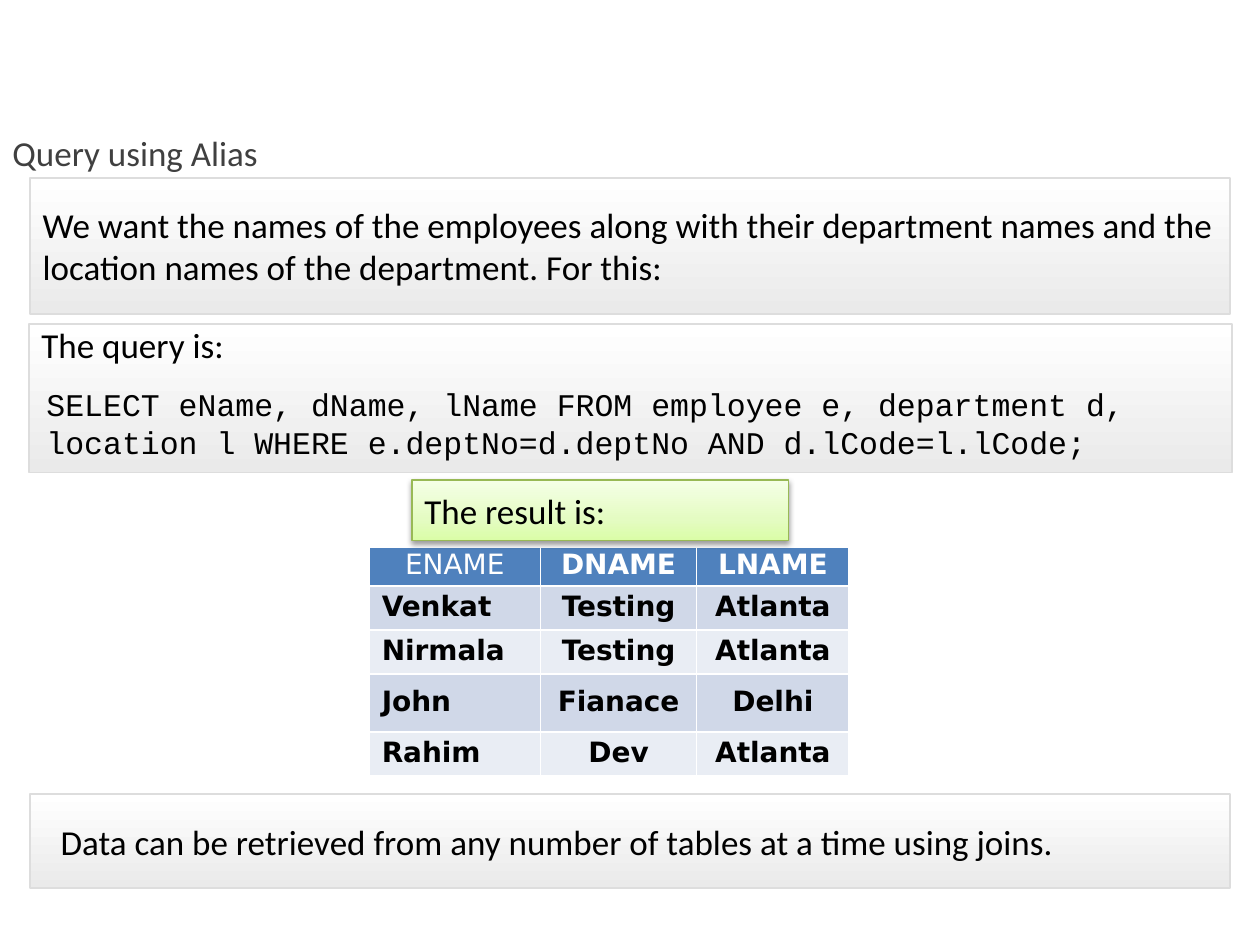
from lxml.etree import SubElement
from pptx import Presentation
from pptx.dml.color import RGBColor
from pptx.enum.shapes import MSO_SHAPE
from pptx.enum.text import MSO_ANCHOR, PP_ALIGN
from pptx.oxml.ns import qn
from pptx.util import Inches, Pt

COLORS = {
    "black": "000000", "white": "FFFFFF", "title": "404040",
    "grey": "EAEAEA", "grey_line": "DDDDDD", "green_line": "98B955",
    "green_dark": "DAFDA7", "green_mid": "E4FCC2", "green_light": "F5FFE7",
    "header": "4F81BD", "band_dark": "D0D8E8", "band_light": "E9EDF4",
}
GREY_STOPS = [(0, "white"), (100, "grey")]
GREEN_STOPS = [(0, "green_dark"), (35, "green_mid"), (100, "green_light")]


def add_text(paragraph, text, size, color="black", font="Calibri", bold=False):
    run = paragraph.add_run()
    run.text = text
    run.font.size = Pt(size)
    run.font.name = font
    run.font.bold = bold
    run.font.color.rgb = RGBColor.from_string(COLORS[color])


def add_panel(box, stops, angle, line_color, line_width, text,
              anchor=MSO_ANCHOR.MIDDLE, left_inset=0.1, spacing=0):
    shape = slide.shapes.add_shape(MSO_SHAPE.RECTANGLE, *map(Inches, box))
    shape.shadow.inherit = False
    shape.fill.gradient()
    shape.fill.gradient_angle = angle
    stop_list = shape._element.spPr.find(".//" + qn("a:gsLst"))
    for stop in list(stop_list):
        stop_list.remove(stop)
    for position, color in stops:
        stop = SubElement(stop_list, qn("a:gs"), pos=str(position * 1000))
        SubElement(stop, qn("a:srgbClr"), val=COLORS[color])
    shape.line.color.rgb = RGBColor.from_string(COLORS[line_color])
    shape.line.width = Pt(line_width)
    frame = shape.text_frame
    frame.word_wrap = True
    frame.vertical_anchor = anchor
    frame.margin_left, frame.margin_right = Inches(left_inset), Inches(0.1)
    frame.margin_top = frame.margin_bottom = 0
    paragraph = frame.paragraphs[0]
    paragraph.alignment = PP_ALIGN.LEFT
    paragraph.space_before = paragraph.space_after = Pt(spacing)
    add_text(paragraph, text, 20)
    return shape


presentation = Presentation()
presentation.slide_width, presentation.slide_height = Inches(10), Inches(7.5)
slide = presentation.slides.add_slide(presentation.slide_layouts[6])

# Question panel
add_panel((0.24, 1.41, 9.52, 1.08), GREY_STOPS, 270, "grey_line", 1,
          "We want the names of the employees along with their department names "
          "and the location names of the department. For this:")

# Title
title = slide.shapes.add_textbox(Inches(0), Inches(0.83), Inches(7.09), Inches(0.61))
title.text_frame.word_wrap = True
title.text_frame.paragraphs[0].line_spacing = 1.5
add_text(title.text_frame.paragraphs[0], "Query using Alias", 20, "title")

# Result table
rows = [
    ("ENAME", "DNAME", "LNAME"),
    ("Venkat", "Testing", "Atlanta"),
    ("Nirmala", "Testing", "Atlanta"),
    ("John", "Fianace", "Delhi"),
    ("Rahim", "Dev", "Atlanta"),
]
table = slide.shapes.add_table(5, 3, Inches(2.93), Inches(4.34),
                               Inches(3.82), Inches(1.82)).table
for column, width in zip(table.columns, (1.36, 1.24, 1.21)):
    column.width = Inches(width)
for row, height in zip(table.rows, (0.31, 0.35, 0.35, 0.46, 0.35)):
    row.height = Inches(height)
for row_index, values in enumerate(rows):
    is_header = row_index == 0
    fill = "header" if is_header else ("band_light", "band_dark")[row_index % 2]
    for column_index, value in enumerate(values):
        cell = table.cell(row_index, column_index)
        cell.vertical_anchor = MSO_ANCHOR.MIDDLE
        cell.margin_left = cell.margin_right = Inches(0 if is_header else 0.1)
        cell.margin_top = cell.margin_bottom = 0
        properties = cell._tc.get_or_add_tcPr()
        for side in ("a:lnL", "a:lnR", "a:lnT", "a:lnB"):
            border = SubElement(properties, qn(side), w=str(Pt(1)))
            border_fill = SubElement(border, qn("a:solidFill"))
            SubElement(border_fill, qn("a:srgbClr"), val=COLORS["white"])
        cell.fill.solid()
        cell.fill.fore_color.rgb = RGBColor.from_string(COLORS[fill])
        paragraph = cell.text_frame.paragraphs[0]
        paragraph.line_spacing = 0.86
        centred = is_header or column_index > 0
        paragraph.alignment = PP_ALIGN.CENTER if centred else PP_ALIGN.LEFT
        add_text(paragraph, value, 16, "white" if is_header else "black",
                 "DejaVu Sans", bold=value != "ENAME")

# Query panel with its statement
add_panel((0.23, 2.57, 9.55, 1.18), GREY_STOPS, 270, "grey_line", 1,
          "The query is:", anchor=MSO_ANCHOR.TOP, spacing=6)
query = slide.shapes.add_textbox(Inches(0.27), Inches(3.01), Inches(9.49), Inches(0.71))
query.text_frame.word_wrap = True
add_text(query.text_frame.paragraphs[0],
         "SELECT eName, dName, lName FROM employee e, department d, "
         "location l WHERE e.deptNo=d.deptNo AND d.lCode=l.lCode;",
         18, font="Courier New")

# Result label with a soft shadow
label = add_panel((3.27, 3.81, 2.99, 0.48), GREEN_STOPS, 90, "green_line", 0.75,
                  "The result is:", spacing=6)
effects = label._element.spPr.find(qn("a:effectLst"))
shadow = SubElement(effects, qn("a:outerShdw"), blurRad=str(Pt(3.1)),
                    dist=str(Pt(1.6)), dir="5400000", rotWithShape="0")
shadow_color = SubElement(shadow, qn("a:srgbClr"), val=COLORS["black"])
SubElement(shadow_color, qn("a:alpha"), val="38000")

# Closing panel
add_panel((0.24, 6.3, 9.52, 0.75), GREY_STOPS, 270, "grey_line", 1,
          "Data can be retrieved from any number of tables at a time using joins.",
          left_inset=0.24)

presentation.save("out.pptx")
